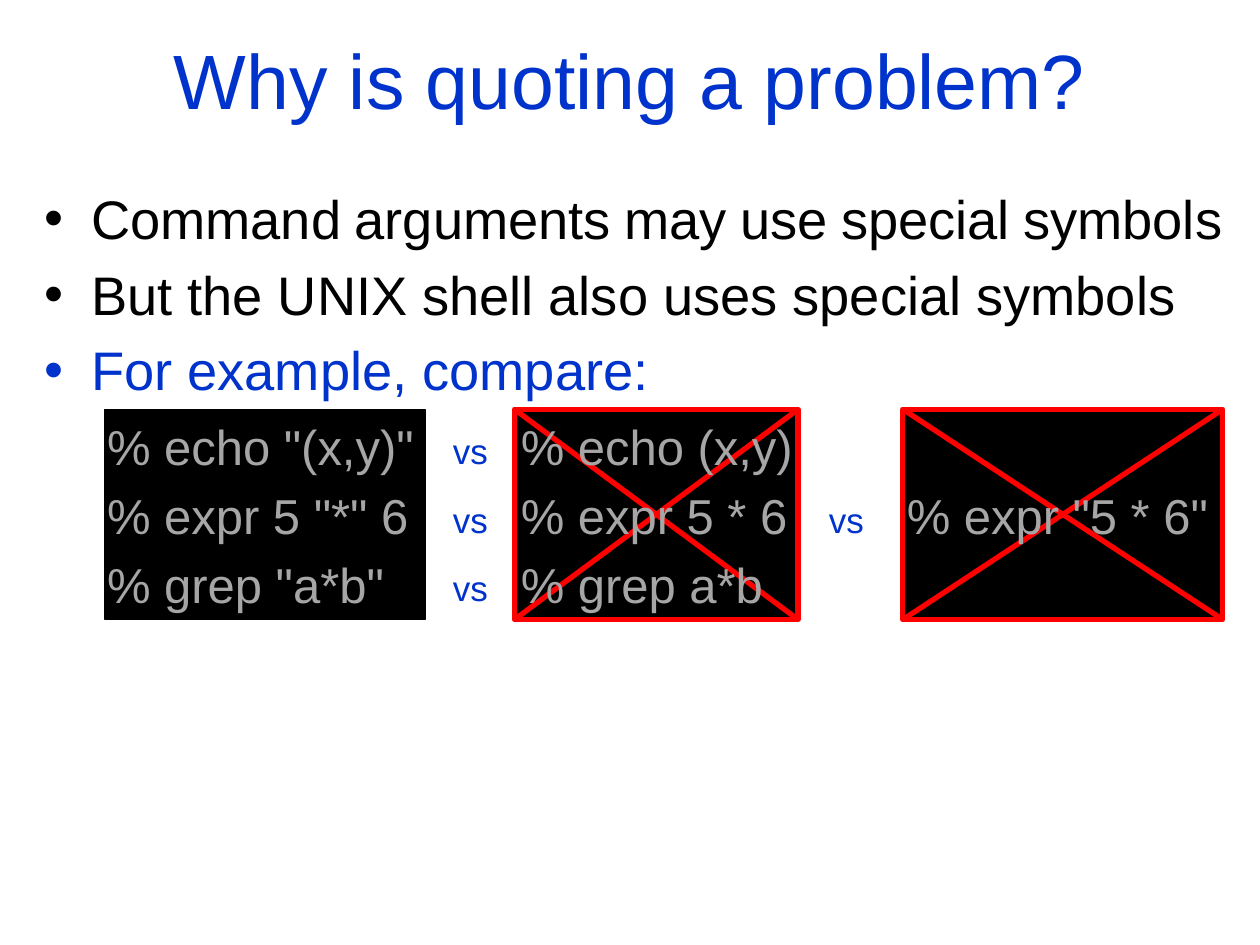
from dataclasses import dataclass
from lxml.etree import SubElement
from pptx import Presentation
from pptx.dml.color import RGBColor
from pptx.enum.shapes import MSO_CONNECTOR, MSO_SHAPE
from pptx.enum.text import MSO_ANCHOR, PP_ALIGN
from pptx.oxml.ns import qn
from pptx.util import Cm, Pt


@dataclass(frozen=True)
class Theme:
    font: str = "Arial"
    blue: str = "0033CC"
    black: str = "000000"
    gray: str = "A6A6A6"
    red: str = "FF0000"
    title: int = 44
    body: int = 31
    gap: int = 28
    code: int = 28
    versus: int = 20


THEME = Theme()
BOX_TOP, BOX_HEIGHT = 8.25, 4.24
ROW_TOP, ROW_PITCH, VERSUS_DROP = 8.4, 1.39, 0.25
CODE_COLUMNS = ((2.16, 6.4), (10.5, 5.6), (18.28, 6.4))
VERSUS_LEFTS = (9.13, 16.71)
COMMANDS = (
    ('% echo "(x,y)"', "% echo (x,y)"),
    ('% expr 5 "*" 6', "% expr 5 * 6", '% expr "5 * 6"'),
    ('% grep "a*b"', "% grep a*b"),
)


def add_run(p, text, size, color):
    r = p.add_run()
    r.text = text
    r.font.name = THEME.font
    r.font.size = Pt(size)
    r.font.color.rgb = RGBColor.from_string(color)


def add_bullet(p, words, color, gap=THEME.body):
    pPr = p._p.get_or_add_pPr()
    pPr.set("marL", str(Cm(0.95)))
    pPr.set("indent", str(Cm(-0.95)))
    before = SubElement(pPr, qn("a:spcBef"))
    SubElement(before, qn("a:spcPct"), val="20000")
    SubElement(pPr, qn("a:buFont"), typeface=THEME.font)
    SubElement(pPr, qn("a:buChar"), char="•")
    for i, word in enumerate(words):
        if i:
            add_run(p, " ", gap, color)
        add_run(p, word, THEME.body, color)


def add_label(slide, text, left, top, width, size, color):
    tf = slide.shapes.add_textbox(Cm(left), Cm(top), Cm(width), Cm(size * 0.04)).text_frame
    tf.margin_left = tf.margin_right = tf.margin_top = tf.margin_bottom = 0
    tf.word_wrap = True
    add_run(tf.paragraphs[0], text, size, color)


def add_comparison(slide, commands, top):
    for command, (left, width) in zip(commands, CODE_COLUMNS):
        add_label(slide, command, left, top, width, THEME.code, THEME.gray)
    for left in VERSUS_LEFTS[:len(commands) - 1]:
        add_label(slide, "vs", left, top + VERSUS_DROP, 1, THEME.versus, THEME.blue)


def add_box(shapes, left, width, color, weight):
    sp = shapes.add_shape(MSO_SHAPE.RECTANGLE, Cm(left), Cm(BOX_TOP), Cm(width), Cm(BOX_HEIGHT))
    sp.shadow.inherit = False
    sp.fill.solid()
    sp.fill.fore_color.rgb = RGBColor.from_string(THEME.black)
    sp.line.color.rgb = RGBColor.from_string(color)
    sp.line.width = Pt(weight)


def add_crossed_box(slide, left, width):
    shapes = slide.shapes.add_group_shape().shapes
    add_box(shapes, left, width, THEME.red, 3)
    bottom = BOX_TOP + BOX_HEIGHT
    for start, end in ((BOX_TOP, bottom), (bottom, BOX_TOP)):
        line = shapes.add_connector(
            MSO_CONNECTOR.STRAIGHT, Cm(left), Cm(start), Cm(left + width), Cm(end))
        line.line.color.rgb = RGBColor.from_string(THEME.red)
        line.line.width = Pt(3)
        SubElement(line._element.spPr, qn("a:effectLst"))


def set_title(slide, text):
    sp = slide.shapes.title
    sp.left, sp.top, sp.width, sp.height = Cm(1.27), Cm(0), Cm(22.86), Cm(3.18)
    tf = sp.text_frame
    tf.vertical_anchor = MSO_ANCHOR.MIDDLE
    p = tf.paragraphs[0]
    p.alignment = PP_ALIGN.CENTER
    add_run(p, text, THEME.title, THEME.blue)


def add_body(slide):
    tf = slide.shapes.add_textbox(Cm(0.64), Cm(3.6), Cm(24.55), Cm(4.6)).text_frame
    tf.word_wrap = True
    add_bullet(tf.paragraphs[0], "Command arguments may use special symbols".split(),
               THEME.black, THEME.gap)
    add_bullet(tf.add_paragraph(), ["But the UNIX shell also uses special symbols"], THEME.black)
    add_bullet(tf.add_paragraph(), ["For example, compare:"], THEME.blue)


def main():
    prs = Presentation()
    prs.slide_width, prs.slide_height = Cm(25.4), Cm(19.05)
    slide = prs.slides.add_slide(prs.slide_layouts[5])
    set_title(slide, "Why is quoting a problem?")
    add_box(slide.shapes, 2.12, 6.45, THEME.black, 0.75)
    add_crossed_box(slide, 10.37, 5.72)
    add_crossed_box(slide, 18.2, 6.45)
    add_body(slide)
    for row, commands in enumerate(COMMANDS):
        add_comparison(slide, commands, ROW_TOP + row * ROW_PITCH)
    prs.save("out.pptx")


main()
